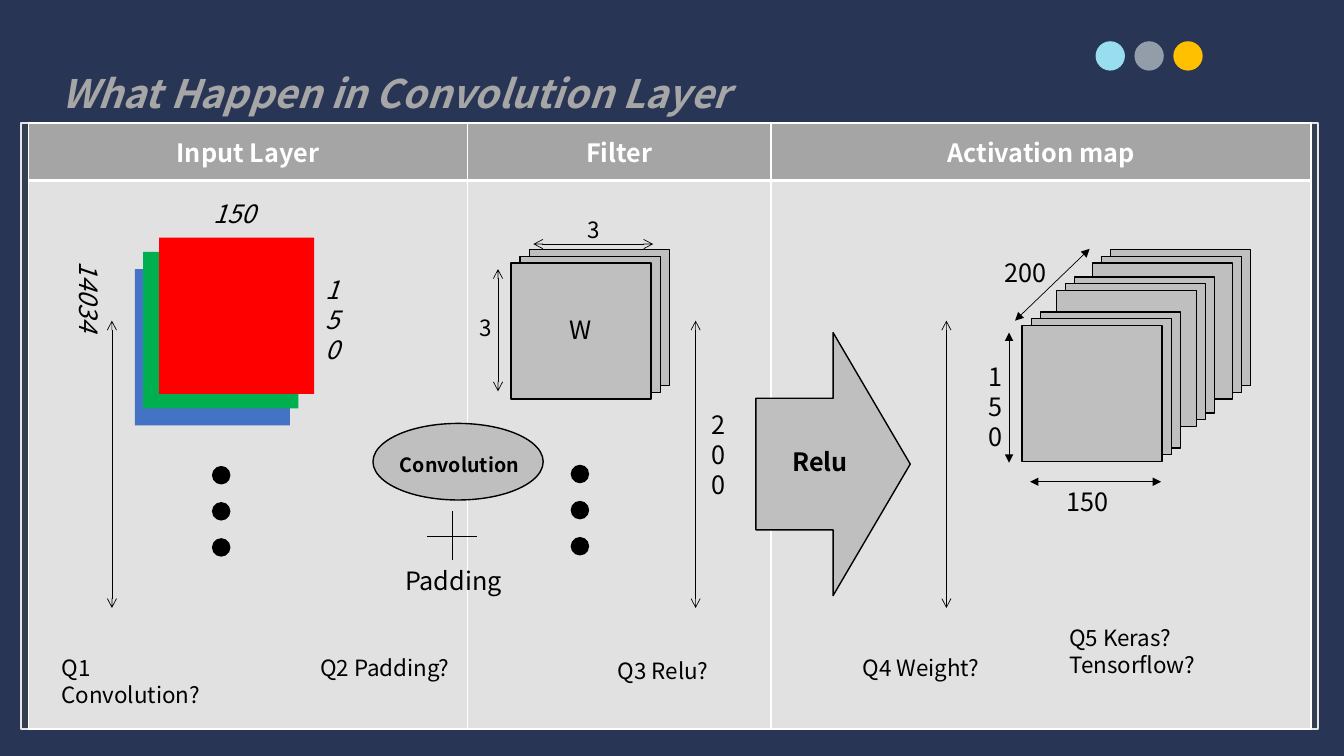
"""Build the slide that explains what happens in a convolution layer."""
import dataclasses
import typing

import lxml.etree
import pptx
import pptx.dml.color
import pptx.enum.shapes
import pptx.enum.text
import pptx.oxml.ns
import pptx.shapes.autoshape
import pptx.slide
import pptx.table
import pptx.text.text
import pptx.util

Cm = pptx.util.Cm
Pt = pptx.util.Pt
RGBColor = pptx.dml.color.RGBColor
Preset = pptx.enum.shapes.MSO_SHAPE
Align = pptx.enum.text.PP_ALIGN
Anchor = pptx.enum.text.MSO_ANCHOR
qn = pptx.oxml.ns.qn

FONT = "Noto Sans CJK KR"
NAVY = RGBColor(0x28, 0x35, 0x55)
SLATE = RGBColor(0x33, 0x3F, 0x50)
PALE = RGBColor(0xE7, 0xE6, 0xE6)
SKY = RGBColor(0x98, 0xDD, 0xF0)
STEEL = RGBColor(0x92, 0x9D, 0xA9)
AMBER = RGBColor(0xFF, 0xC0, 0x00)
TITLE_GREY = RGBColor(0xA6, 0xA6, 0xA6)
HEADER_GREY = RGBColor(0xA5, 0xA5, 0xA5)
BODY_GREY = RGBColor(0xE1, 0xE1, 0xE1)
MAP_GREY = RGBColor(0xBF, 0xBF, 0xBF)
BLUE = RGBColor(0x44, 0x72, 0xC4)
GREEN = RGBColor(0x00, 0xB0, 0x50)
RED = RGBColor(0xFF, 0x00, 0x00)
BLACK = RGBColor(0, 0, 0)
WHITE = RGBColor(0xFF, 0xFF, 0xFF)


@dataclasses.dataclass(frozen=True)
class Block:
    """A preset shape, measured in centimetres."""
    preset: Preset
    x: float
    y: float
    width: float
    height: float
    fill: RGBColor
    line: typing.Optional[RGBColor] = None


@dataclasses.dataclass(frozen=True)
class Stroke:
    """A straight line with the same head at both ends."""
    x1: float
    y1: float
    x2: float
    y2: float
    head: str = "none"


@dataclasses.dataclass(frozen=True)
class Label:
    """A text box, measured in centimetres."""
    text: str
    x: float
    y: float
    width: float
    height: float
    size: int = 18
    bold: bool = False
    italic: bool = False
    color: RGBColor = BLACK
    align: Align = Align.LEFT
    spacing: float = 1.0
    wrap: bool = True
    vertical: bool = False


def style_text(frame: pptx.text.text.TextFrame, size: int, color: RGBColor, bold: bool = False,
               italic: bool = False, align: Align = Align.CENTER, spacing: float = 1.0) -> None:
    """Format every paragraph of a text frame."""
    for para in frame.paragraphs:
        para.alignment = align
        para.line_spacing = spacing
        for span in para.runs:
            span.font.name = FONT
            span.font.size = Pt(size)
            span.font.bold = bold
            span.font.italic = italic
            span.font.color.rgb = color


def draw_block(page: pptx.slide.Slide, block: Block) -> pptx.shapes.autoshape.Shape:
    """Draw a filled preset shape."""
    shape = page.shapes.add_shape(block.preset, Cm(block.x), Cm(block.y), Cm(block.width), Cm(block.height))
    shape.shadow.inherit = False
    shape.fill.solid()
    shape.fill.fore_color.rgb = block.fill
    if block.line is None:
        shape.line.fill.background()
    else:
        shape.line.color.rgb = block.line
        shape.line.width = Pt(1)
    return shape


def draw_stack(page: pptx.slide.Slide, x: float, y: float) -> None:
    """Draw three overlapping sheets whose front sheet starts at x, y."""
    for depth in (2, 1, 0):
        draw_block(page, Block(Preset.RECTANGLE, x + 0.23 * depth, y - 0.17 * depth, 3.53, 3.43, MAP_GREY, BLACK))


def draw_stroke(page: pptx.slide.Slide, stroke: Stroke) -> None:
    """Draw a thin black line with its heads."""
    line = page.shapes.add_connector(pptx.enum.shapes.MSO_CONNECTOR.STRAIGHT, Cm(stroke.x1), Cm(stroke.y1),
                                     Cm(stroke.x2), Cm(stroke.y2))
    line.line.color.rgb = BLACK
    line.line.width = Pt(0.5)
    properties = line._element.spPr
    for end in ("a:headEnd", "a:tailEnd"):
        lxml.etree.SubElement(properties.find(qn("a:ln")), qn(end), type=stroke.head)
    lxml.etree.SubElement(properties, qn("a:effectLst"))


def draw_label(page: pptx.slide.Slide, label: Label) -> None:
    """Draw a text box that grows with its text."""
    box = page.shapes.add_textbox(Cm(label.x), Cm(label.y), Cm(label.width), Cm(label.height))
    frame = box.text_frame
    frame.text = label.text
    frame.word_wrap = label.wrap
    frame.auto_size = pptx.enum.text.MSO_AUTO_SIZE.SHAPE_TO_FIT_TEXT
    if label.vertical:
        frame._txBody.bodyPr.set("vert", "eaVert")
    style_text(frame, label.size, label.color, label.bold, label.italic, label.align, label.spacing)


def border_cell(cell: pptx.table._Cell, bottom: float) -> None:
    """Give a cell white borders, with its own bottom width."""
    properties = cell._tc.get_or_add_tcPr()
    for index, (side, width) in enumerate((("L", 1), ("R", 1), ("T", 1), ("B", bottom))):
        edge = lxml.etree.Element(qn(f"a:ln{side}"), w=str(Pt(width)))
        fill = lxml.etree.SubElement(edge, qn("a:solidFill"))
        lxml.etree.SubElement(fill, qn("a:srgbClr"), val=str(WHITE))
        properties.insert(index, edge)


def draw_table(page: pptx.slide.Slide) -> None:
    """Draw the three titled columns."""
    table = page.shapes.add_table(2, 3, Cm(0.71), Cm(3.1), Cm(32.33), Cm(15.27)).table
    for row, height in zip(table.rows, (1.45, 13.82)):
        row.height = Cm(height)
    columns = (("Input Layer", 11.07), ("Filter", 7.65), ("Activation map", 13.61))
    for index, (heading, width) in enumerate(columns):
        table.columns[index].width = Cm(width)
        for row, (text, color, bottom) in enumerate(((heading, HEADER_GREY, 3), ("", BODY_GREY, 1))):
            cell = table.cell(row, index)
            cell.text_frame.text = text
            cell.vertical_anchor = Anchor.MIDDLE
            cell.fill.solid()
            cell.fill.fore_color.rgb = color
            border_cell(cell, bottom)
            style_text(cell.text_frame, 18, WHITE, bold=True)


STACKS = ((12.88, 6.63), (27.53, 6.63), (26.62, 7.32), (25.76, 8.2))
CHANNELS = ((3.4, 6.78, BLUE), (3.61, 6.35, GREEN), (4.01, 5.99, RED))
STROKES = [Stroke(x, 8.08, x, 15.32, "arrow") for x in (2.82, 17.53, 23.85)] + [
    Stroke(13.44, 6.15, 16.46, 6.15, "arrow"), Stroke(12.55, 6.78, 12.55, 9.86, "arrow"),
    Stroke(25.96, 12.14, 29.26, 12.14, "triangle"), Stroke(25.43, 8.38, 25.43, 11.66, "triangle"),
    Stroke(27.46, 6.27, 25.58, 8.08, "triangle"),
    Stroke(11.4, 12.88, 11.4, 14.12), Stroke(10.77, 13.51, 12.01, 13.51)]
QUESTIONS = (("Q1 Convolution?", 1.3, 16.36), ("Q2 Padding?", 7.82, 16.36), ("Q3 Relu?", 15.32, 16.43),
             ("Q4 Weight?", 21.49, 16.36), ("Q5 Keras? Tensorflow?", 26.7, 15.6))
LABELS = [
    Label("What Happen in Convolution Layer", 1.3, 1.04, 17.75, 1.83, 28, True, True, TITLE_GREY, spacing=1.5),
    Label("150", 5.13, 4.88, 2.01, 1.02, italic=True),
    Label("1\n5\n0", 7.95, 6.78, 1.22, 2.57, italic=True),
    Label("14034", 1.5, 6.35, 1.27, 9.73, italic=True, align=Align.CENTER, vertical=True),
    Label("3", 14.55, 5.33, 0.74, 0.94, 16), Label("3", 11.84, 7.8, 0.74, 0.94, 16),
    Label("200", 17.68, 10.19, 0.74, 2.57),
    Label("Relu", 19.38, 11.13, 2.57, 1.02, bold=True, align=Align.CENTER),
    Label("Convolution", 9.83, 11.28, 3.56, 0.86, 14, True),
    Label("Padding", 9.96, 14.12, 3.05, 1.02),
    Label("150", 26.62, 12.14, 1.57, 1.02, wrap=False), Label("150", 24.66, 8.97, 0.52, 2.57),
    Label("200", 25.07, 6.35, 1.83, 1.02),
] + [Label(text, x, y, 4.72, 0.94, 16) for text, x, y in QUESTIONS]


def build() -> None:
    """Draw the slide from back to front and save it."""
    deck = pptx.Presentation()
    deck.slide_width, deck.slide_height = Cm(33.87), Cm(19.05)
    page = deck.slides.add_slide(deck.slide_layouts[6])
    page.background.fill.solid()
    page.background.fill.fore_color.rgb = NAVY
    for index, color in enumerate((SKY, STEEL, AMBER)):
        draw_block(page, Block(Preset.OVAL, 27.61 + 0.98 * index, 1.04, 0.74, 0.74, color))
    draw_block(page, Block(Preset.RECTANGLE, 0.53, 3.1, 32.69, 15.27, SLATE, PALE))
    draw_table(page)
    for x, y, color in CHANNELS:
        draw_block(page, Block(Preset.RECTANGLE, x, y, 3.91, 3.94, color))
    for x, y in ((5.36, 11.76), (14.4, 11.73)):
        for index in range(3):
            draw_block(page, Block(Preset.OVAL, x, y + 0.91 * index, 0.43, 0.43, BLACK, BLACK))
    for x, y in STACKS:
        draw_stack(page, x, y)
    weight = draw_block(page, Block(Preset.RECTANGLE, 13.39, 7.8, 2.46, 1.02, MAP_GREY))
    weight.text_frame.text = "W"
    weight.text_frame.vertical_anchor = Anchor.MIDDLE
    style_text(weight.text_frame, 18, BLACK)
    draw_block(page, Block(Preset.RIGHT_ARROW, 19.05, 8.38, 3.89, 6.63, MAP_GREY, BLACK))
    draw_block(page, Block(Preset.OVAL, 9.4, 10.67, 4.29, 1.93, MAP_GREY, BLACK))
    for stroke in STROKES:
        draw_stroke(page, stroke)
    for label in LABELS:
        draw_label(page, label)
    deck.save("out.pptx")


build()
